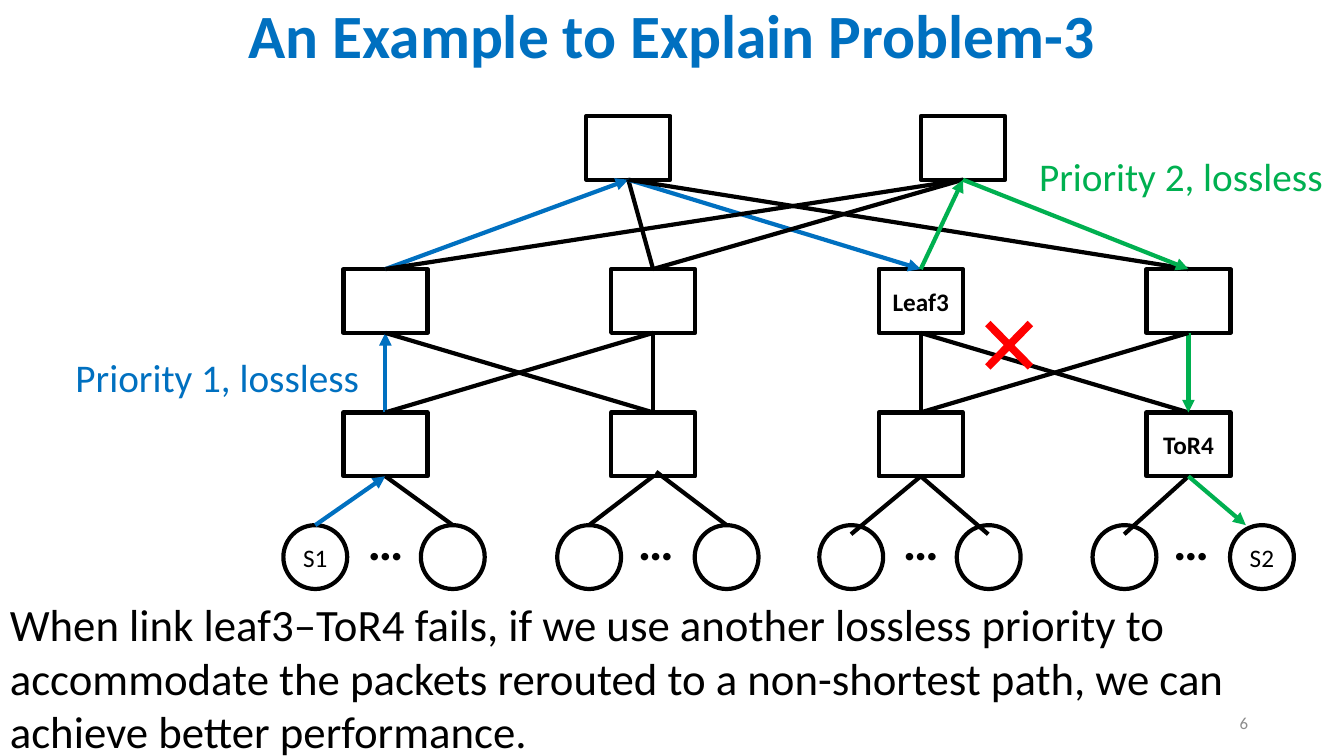
from dataclasses import dataclass

from lxml import etree
from pptx import Presentation
from pptx.dml.color import RGBColor
from pptx.enum import shapes, text
from pptx.oxml import ns
from pptx.util import Pt


@dataclass(frozen=True)
class Theme:
    font: str = "Calibri"
    black: str = "000000"
    blue: str = "0070C0"
    green: str = "00B050"
    red: str = "FF0000"
    grey: str = "8C8C8C"
    title: float = 43.9
    body: float = 32
    priority: float = 28
    dots: float = 36
    label: float = 18
    number: float = 12
    line: float = 3
    cross: float = 5.5


THEME = Theme()
TOP, BOTTOM = 0, 2  # connection sites
SWITCH_W, SWITCH_H = 60, 45.6
SERVER_SIZE, SERVER_TOP, SERVER_GAP = 45.6, 375.1, 98.2
SPINE_TOP, LEAF_TOP, TOR_TOP = 82.8, 192.2, 294.6
SPINE_CENTRES = (448.8, 687.9)
POD_CENTRES = [275.3 + 191.2 * pod for pod in range(4)]
SERVER_LEFTS = (202.4, 398, 585.2, 780.4)
DOTS_LEFTS = (255.6, 448.6, 637.9, 830.9)


def write(frame, words, size, color, bold=False, align=None):
    frame.text = words
    para = frame.paragraphs[0]
    para.alignment = align
    para.font.name = THEME.font
    para.font.size = Pt(size)
    para.font.bold = bold
    para.font.color.rgb = RGBColor.from_string(color)
    return para


def add_text(page, area, words, size, color, wrap=True, grow=True, **style):
    box = page.shapes.add_textbox(*map(Pt, area))
    frame = box.text_frame
    frame.word_wrap = wrap
    if grow:
        frame.auto_size = text.MSO_AUTO_SIZE.SHAPE_TO_FIT_TEXT
    return frame, write(frame, words, size, color, **style)


def add_node(page, kind, area, label="", bold=False):
    node = page.shapes.add_shape(kind, *map(Pt, area))
    node.shadow.inherit = False
    node.fill.background()
    node.line.color.rgb = RGBColor.from_string(THEME.black)
    node.line.width = Pt(THEME.line)
    if label:
        frame = node.text_frame
        frame.margin_left = frame.margin_right = 0
        frame.margin_top = frame.margin_bottom = 0
        frame.vertical_anchor = text.MSO_ANCHOR.MIDDLE
        write(frame, label, THEME.label, THEME.black, bold, text.PP_ALIGN.CENTER)
    return node


def add_switch(page, centre, top, label=""):
    area = (centre - SWITCH_W / 2, top, SWITCH_W, SWITCH_H)
    return add_node(page, shapes.MSO_SHAPE.RECTANGLE, area, label, bold=True)


def add_server(page, left, label=""):
    area = (left, SERVER_TOP, SERVER_SIZE, SERVER_SIZE)
    return add_node(page, shapes.MSO_SHAPE.OVAL, area, label)


def add_line(parent, start, end, color, width):
    line = parent.shapes.add_connector(
        shapes.MSO_CONNECTOR.STRAIGHT, *map(Pt, start + end))
    line.line.color.rgb = RGBColor.from_string(color)
    line.line.width = Pt(width)
    etree.SubElement(line._element.spPr, ns.qn("a:effectLst"))
    return line


def add_link(page, start, end, color=THEME.black):
    """Join two ends, each (node, site) or (x, y); coloured links are arrows."""
    link = add_line(page, (0, 0), (10, 10), color, THEME.line)
    if isinstance(start[0], float):
        link.begin_x, link.begin_y = map(Pt, start)
    else:
        link.begin_connect(*start)
    if isinstance(end[0], float):
        link.end_x, link.end_y = map(Pt, end)
    else:
        link.end_connect(*end)
    if color != THEME.black:
        outline = link.line._get_or_add_ln()
        etree.SubElement(outline, ns.qn("a:tailEnd"), type="triangle")


def add_network(page):
    # Switches
    spines = [add_switch(page, x, SPINE_TOP) for x in SPINE_CENTRES]
    leaves = [add_switch(page, x, LEAF_TOP, label)
              for x, label in zip(POD_CENTRES, ("", "", "Leaf3", ""))]
    tors = [add_switch(page, x, TOR_TOP, label)
            for x, label in zip(POD_CENTRES, ("", "", "", "ToR4"))]

    # Spine to leaf: (spine, leaf) gives colour and whether the path climbs
    routes = {(0, 0): (THEME.blue, True), (0, 2): (THEME.blue, False),
              (1, 2): (THEME.green, True), (1, 3): (THEME.green, False)}
    for s, spine in enumerate(spines):
        for f, leaf in enumerate(leaves):
            color, climbs = routes.get((s, f), (THEME.black, False))
            ends = [(spine, BOTTOM), (leaf, TOP)]
            add_link(page, *(ends[::-1] if climbs else ends), color)

    # Leaf to ToR, full mesh in each pair of pods
    for f, leaf in enumerate(leaves):
        for t in (f, f ^ 1):
            ends = [(leaf, BOTTOM), (tors[t], TOP)]
            if f == t == 0:
                add_link(page, *ends[::-1], THEME.blue)
            else:
                add_link(page, *ends, THEME.green if f == t == 3 else THEME.black)

    # Servers
    servers = []
    for left, dots_left, first, second in zip(
            SERVER_LEFTS, DOTS_LEFTS, ("S1", "", "", ""), ("", "", "", "S2")):
        servers.append((add_server(page, left, first),
                        add_server(page, left + SERVER_GAP, second)))
        add_text(page, (dots_left, 360.7, 40.3, 51.1), "…", THEME.dots,
                 THEME.black, wrap=False, bold=True)

    # Server to ToR
    inner = 381.6
    add_link(page, (servers[0][0], TOP), (tors[0], BOTTOM), THEME.blue)
    add_link(page, (servers[0][1], TOP), (tors[0], BOTTOM))
    add_link(page, (servers[1][0], TOP), (tors[1], BOTTOM))
    add_link(page, (servers[1][1], TOP), (468.7, 337.0))
    for x, pod in ((607.9, 2), (705.9, 2), (803.0, 3)):
        add_link(page, (x, inner), (tors[pod], BOTTOM))
    add_link(page, (tors[3], BOTTOM), (889.9, SERVER_TOP), THEME.green)


def add_failure_cross(page):
    cross = page.shapes.add_group_shape()
    left, right, top, bottom = 705.6, 736, 231.1, 262.1
    add_line(cross, (left, top), (right, bottom), THEME.red, THEME.cross)
    add_line(cross, (right, top), (left, bottom), THEME.red, THEME.cross)


def main():
    deck = Presentation()
    deck.slide_width, deck.slide_height = Pt(960), Pt(540)
    page = deck.slides.add_slide(deck.slide_layouts[6])

    # Page number
    frame, _ = add_text(page, (682.6, 501.8, 216, 28.8), "6", THEME.number,
                        THEME.grey, grow=False, align=text.PP_ALIGN.RIGHT)
    frame.vertical_anchor = text.MSO_ANCHOR.MIDDLE

    add_network(page)

    # Explanation and priority labels
    add_text(page, (0, 422.6, 923.8, 123.8),
             "When link leaf3–ToR4 fails, if we use another lossless priority to "
             "accommodate the packets rerouted to a non-shortest path, we can "
             "achieve better performance.", THEME.body, THEME.black)
    add_text(page, (46.8, 249.1, 219.6, 41), "Priority 1, lossless",
             THEME.priority, THEME.blue, wrap=False)
    add_text(page, (735.1, 105.1, 219.6, 41), "Priority 2, lossless",
             THEME.priority, THEME.green, wrap=False)

    # Title
    _, para = add_text(page, (0, 0, 960, 75.6), "An Example to Explain Problem-3",
                       THEME.title, THEME.blue, grow=False, bold=True,
                       align=text.PP_ALIGN.CENTER)
    para.line_spacing = 0.9

    add_failure_cross(page)
    deck.save("out.pptx")


if __name__ == "__main__":
    main()
